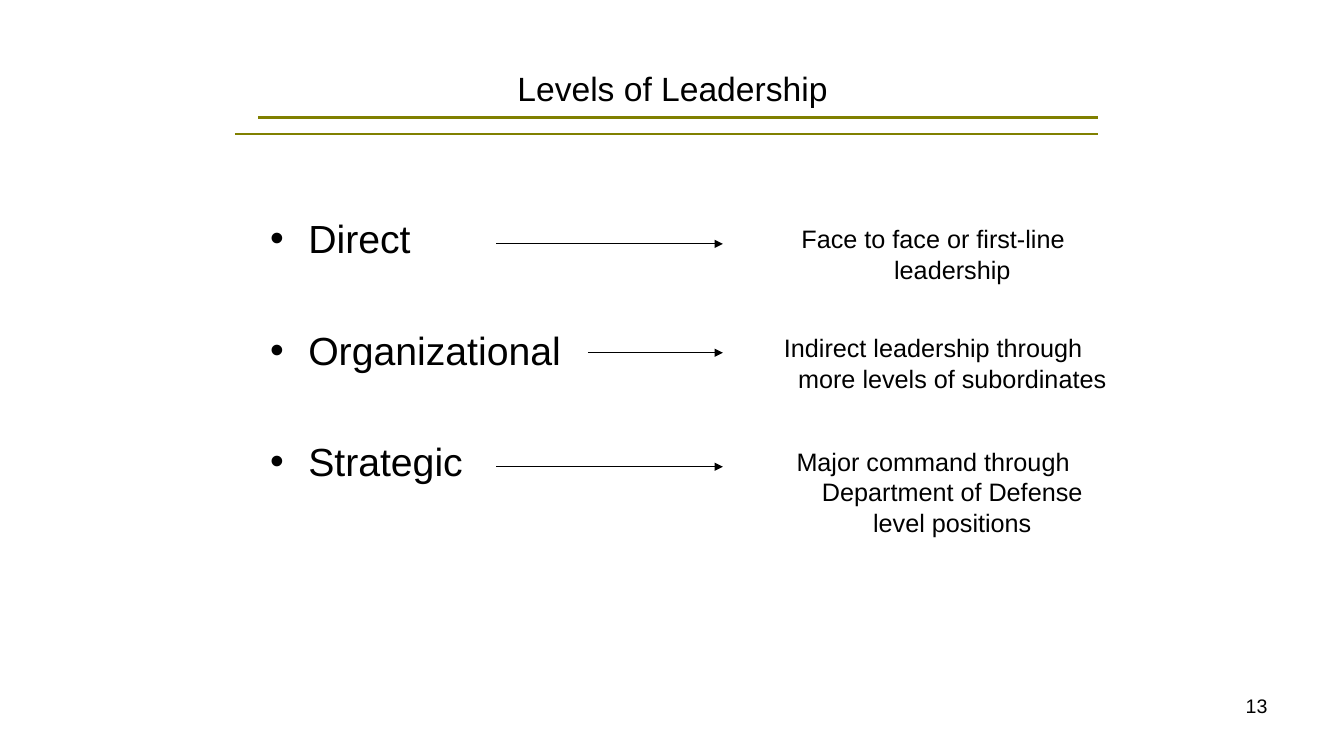
from lxml import etree
from pptx import Presentation
from pptx.dml.color import RGBColor
from pptx.enum.shapes import MSO_CONNECTOR
from pptx.enum.text import MSO_ANCHOR, PP_ALIGN
from pptx.oxml.ns import qn
from pptx.util import Inches, Pt

BLACK = RGBColor(0x00, 0x00, 0x00)
OLIVE = RGBColor(0x80, 0x80, 0x00)
STRAIGHT = MSO_CONNECTOR.STRAIGHT
TOP, MIDDLE = MSO_ANCHOR.TOP, MSO_ANCHOR.MIDDLE
LEFT, CENTER, RIGHT = PP_ALIGN.LEFT, PP_ALIGN.CENTER, PP_ALIGN.RIGHT
HANGING = Inches(0.38)


class SlideBuilder:
    font = "Arial"

    def __init__(self, slide):
        self.slide = slide

    def styled_run(self, paragraph, text, size, align):
        paragraph.alignment = align
        run = paragraph.add_run()
        run.text = text
        run.font.name = self.font
        run.font.size = Pt(size)
        run.font.color.rgb = BLACK

    def hang(self, paragraph):
        properties = paragraph._p.get_or_add_pPr()
        properties.set("marL", str(HANGING))
        properties.set("indent", str(-HANGING))
        return properties

    def title(self, text, left, top, width, height):
        heading = self.slide.shapes.title
        heading.left, heading.top = Inches(left), Inches(top)
        heading.width, heading.height = Inches(width), Inches(height)
        heading.text_frame.vertical_anchor = MIDDLE
        self.styled_run(heading.text_frame.paragraphs[0], text, 24, CENTER)

    def frame(self, left, top, width, height, anchor=TOP):
        box = self.slide.shapes.add_textbox(
            Inches(left), Inches(top), Inches(width), Inches(height))
        box.text_frame.word_wrap = True
        box.text_frame.vertical_anchor = anchor
        return box.text_frame

    def text(self, text, size, align, left, top, width, height,
             anchor=TOP, hanging=False):
        paragraph = self.frame(left, top, width, height, anchor).paragraphs[0]
        if hanging:
            self.hang(paragraph)
        self.styled_run(paragraph, text, size, align)

    def bullets(self, items, size, gap, left, top, width, height):
        frame = self.frame(left, top, width, height)
        for index, item in enumerate(items):
            paragraph = frame.add_paragraph() if index else frame.paragraphs[0]
            paragraph.space_before = Pt(gap if index else 0.2 * size)
            properties = self.hang(paragraph)
            etree.SubElement(properties, qn("a:buFont"), typeface=self.font)
            etree.SubElement(properties, qn("a:buChar"), char="•")
            self.styled_run(paragraph, item, size, LEFT)

    def line(self, start, end, y, color, weight, arrow=False):
        connector = self.slide.shapes.add_connector(
            STRAIGHT, Inches(start), Inches(y), Inches(end), Inches(y))
        connector.line.color.rgb = color
        connector.line.width = Pt(weight)
        properties = connector._element.spPr
        if arrow:
            etree.SubElement(properties.find(qn("a:ln")),
                             qn("a:tailEnd"), type="triangle")
        etree.SubElement(properties, qn("a:effectLst"))


def main():
    presentation = Presentation()
    presentation.slide_width = Inches(13.33)
    presentation.slide_height = Inches(7.5)
    title_only = presentation.slide_layouts[5]
    builder = SlideBuilder(presentation.slides.add_slide(title_only))

    # Title with its double rule
    for start, y in ((2.56, 1.17), (2.33, 1.33)):
        builder.line(start, 10.89, y, OLIVE, 2)
    builder.title("Levels of Leadership", 2.17, 0.58, 9, 0.58)

    # Levels: name, arrow start, description, description top and height
    levels = (
        ("Direct", 4.92, "Face to face or first-line leadership", 2.17, 0.7),
        ("Organizational", 5.83,
         "Indirect leadership through more levels of subordinates", 3.25, 0.7),
        ("Strategic", 4.92,
         "Major command through Department of Defense level positions",
         4.38, 1),
    )
    builder.bullets([level[0] for level in levels], 28, 46,
                    2.58, 2.08, 3.5, 2.81)

    # Arrows and descriptions
    for _, arrow_start, description, top, height in levels:
        builder.line(arrow_start, 7.17, top + 0.25, BLACK, 0.75, arrow=True)
        builder.text(description, 18, CENTER, 7.42, top, 3.67, height,
                     anchor=MIDDLE, hanging=True)

    # Page number
    builder.text("13", 14, RIGHT, 9.56, 6.83, 3.11, 0.52)

    presentation.save("out.pptx")


if __name__ == "__main__":
    main()
